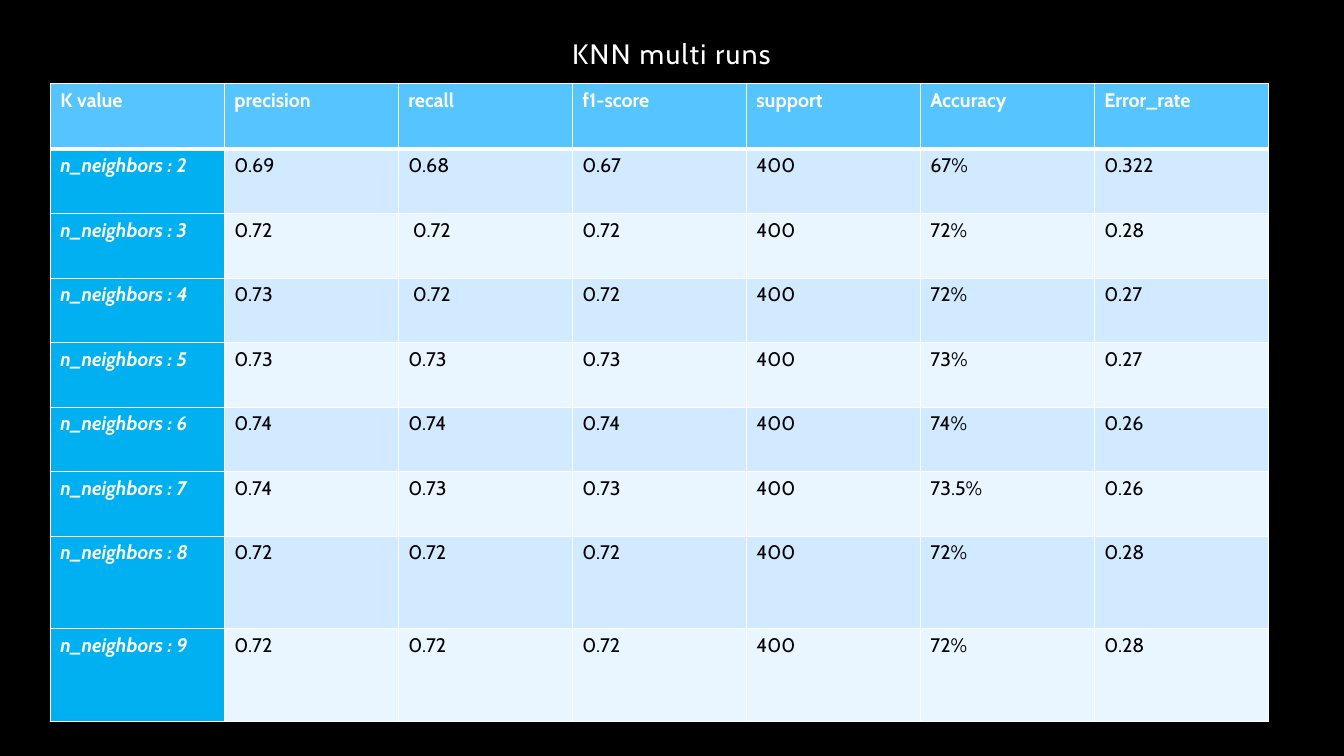
from lxml import etree
from pptx import Presentation
from pptx.dml.color import RGBColor
from pptx.enum.text import MSO_ANCHOR, PP_ALIGN
from pptx.oxml.ns import qn
from pptx.util import Inches, Pt

CENTER = PP_ALIGN.CENTER
BOTTOM = MSO_ANCHOR.BOTTOM
TITLE_ONLY = 5
FONT = "Cabin"
BLACK, WHITE = "000000", "FFFFFF"
HEADER_FILL, LABEL_FILL = "56C5FF", "00B0F0"
BAND_FILLS = ("D1EAFF", "E9F5FF")
ROW_HEIGHTS = [0.65] + [0.64] * 6 + [0.92] * 2
RUNS_TABLE = [
    ["K value", "precision", "recall", "f1-score", "support", "Accuracy", "Error_rate"],
    ["n_neighbors : 2", "0.69", "0.68", "0.67", "400", "67%", "0.322"],
    ["n_neighbors : 3", "0.72", " 0.72", "0.72", "400", "72%", "0.28"],
    ["n_neighbors : 4", "0.73", " 0.72", "0.72", "400", "72%", "0.27"],
    ["n_neighbors : 5", "0.73", "0.73", "0.73", "400", "73%", "0.27"],
    ["n_neighbors : 6", "0.74", "0.74", "0.74", "400", "74%", "0.26"],
    ["n_neighbors : 7", "0.74", "0.73", "0.73", "400", "73.5%", "0.26"],
    ["n_neighbors : 8", "0.72", "0.72", "0.72", "400", "72%", "0.28"],
    ["n_neighbors : 9", "0.72", "0.72", "0.72", "400", "72%", "0.28"],
]


def rgb(value):
    return RGBColor.from_string(value)


def add_run(p, text, size, color, bold=False, italic=False):
    r = p.add_run()
    r.text = text
    r.font.name = FONT
    r.font.size = Pt(size)
    r.font.color.rgb = rgb(color)
    r.font.bold = bold
    r.font.italic = italic
    return r


def set_borders(cell, top, bottom):
    tcPr = cell._tc.get_or_add_tcPr()
    for side, width in (("L", 1), ("R", 1), ("T", top), ("B", bottom)):
        ln = etree.SubElement(tcPr, qn(f"a:ln{side}"), w=str(Pt(width)))
        fill = etree.SubElement(ln, qn("a:solidFill"))
        etree.SubElement(fill, qn("a:srgbClr"), val=WHITE)


def add_title(s, text, left, top, width, height):
    sp = s.shapes.title
    sp.left, sp.top = Inches(left), Inches(top)
    sp.width, sp.height = Inches(width), Inches(height)
    tf = sp.text_frame
    tf.word_wrap = True
    tf.vertical_anchor = BOTTOM
    p = tf.paragraphs[0]
    p.alignment = CENTER
    p.line_spacing = 0.9
    r = add_run(p, text, 20, WHITE)
    r.font._element.set("spc", "100")


def fill_cell(cell, text, row, col):
    header, label = row == 0, col == 0
    set_borders(cell, 3 if row == 1 else 1, 3 if header else 1)
    if header:
        color = HEADER_FILL
    elif label:
        color = LABEL_FILL
    else:
        color = BAND_FILLS[(row - 1) % 2]
    cell.fill.solid()
    cell.fill.fore_color.rgb = rgb(color)
    p = cell.text_frame.paragraphs[0]
    p.line_spacing = Pt(16.8)
    strong = header or label
    add_run(p, text, 14, WHITE if strong else BLACK, strong, label and not header)


def add_runs_table(s, rows, left, top, width, height):
    columns = len(rows[0])
    table = s.shapes.add_table(
        len(rows), columns, Inches(left), Inches(top), Inches(width), Inches(height)
    ).table
    for column in table.columns:
        column.width = Inches(width / columns)
    for i, (values, row_height) in enumerate(zip(rows, ROW_HEIGHTS)):
        table.rows[i].height = Inches(row_height)
        for j, text in enumerate(values):
            fill_cell(table.cell(i, j), text, i, j)


def build_results_slide(prs):
    s = prs.slides.add_slide(prs.slide_layouts[TITLE_ONLY])
    s.background.fill.solid()
    s.background.fill.fore_color.rgb = rgb(BLACK)
    add_runs_table(s, RUNS_TABLE, 0.5, 0.83, 12.08, sum(ROW_HEIGHTS))
    add_title(s, "KNN multi runs", 1.66, 0.25, 10, 0.5)


def main():
    prs = Presentation()
    prs.slide_width, prs.slide_height = Inches(13.33), Inches(7.5)
    build_results_slide(prs)
    prs.save("out.pptx")


if __name__ == "__main__":
    main()
